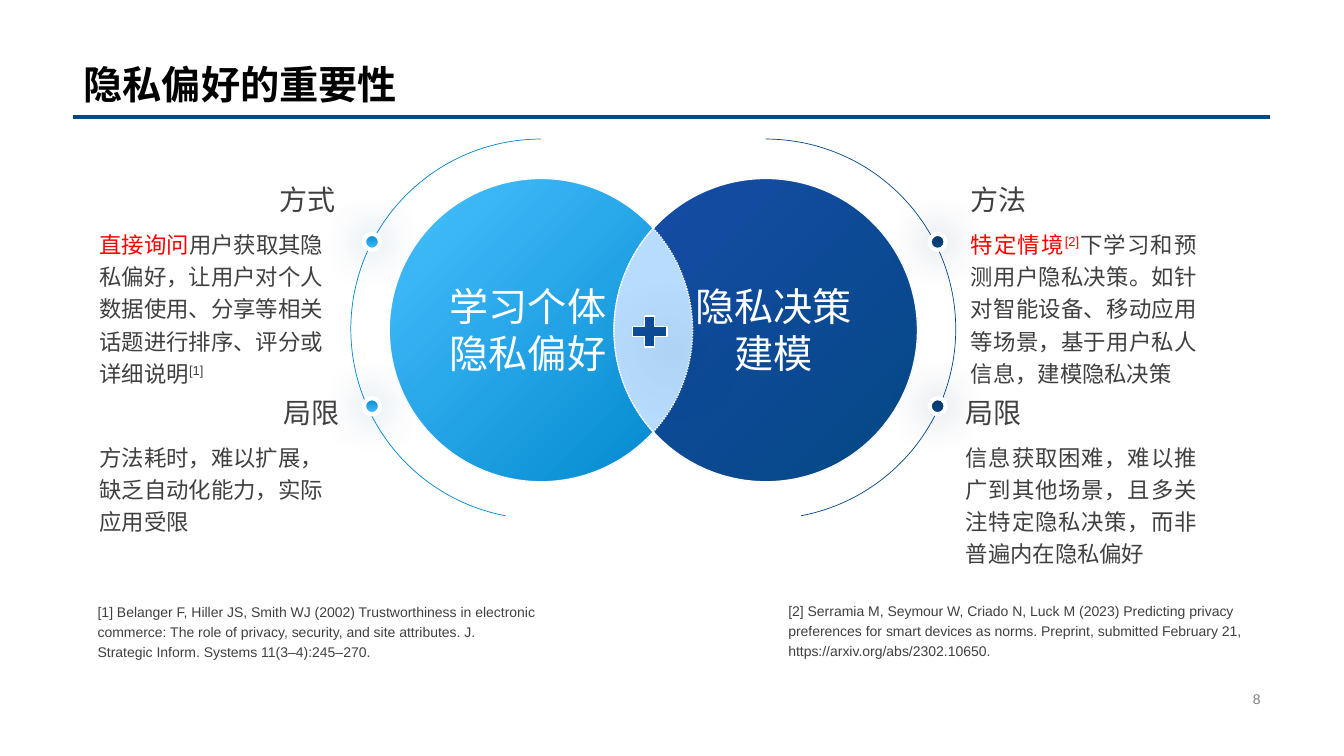
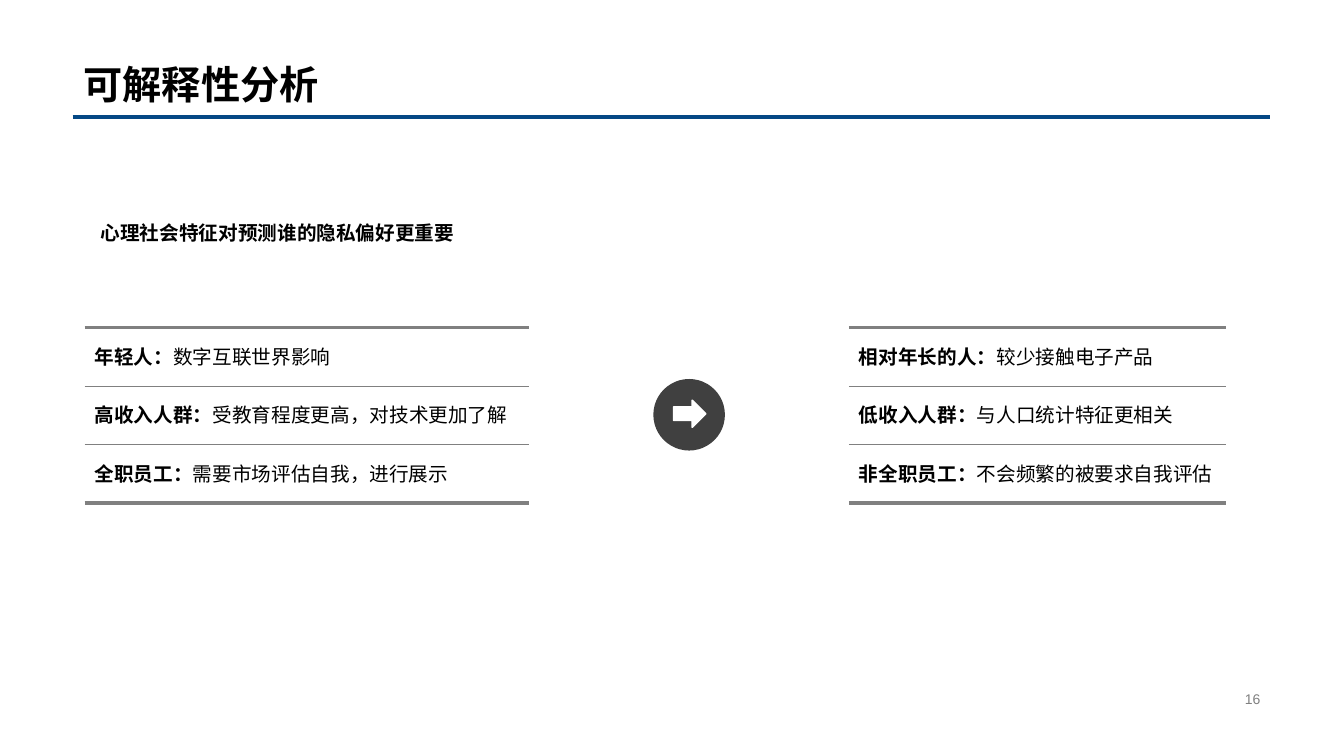
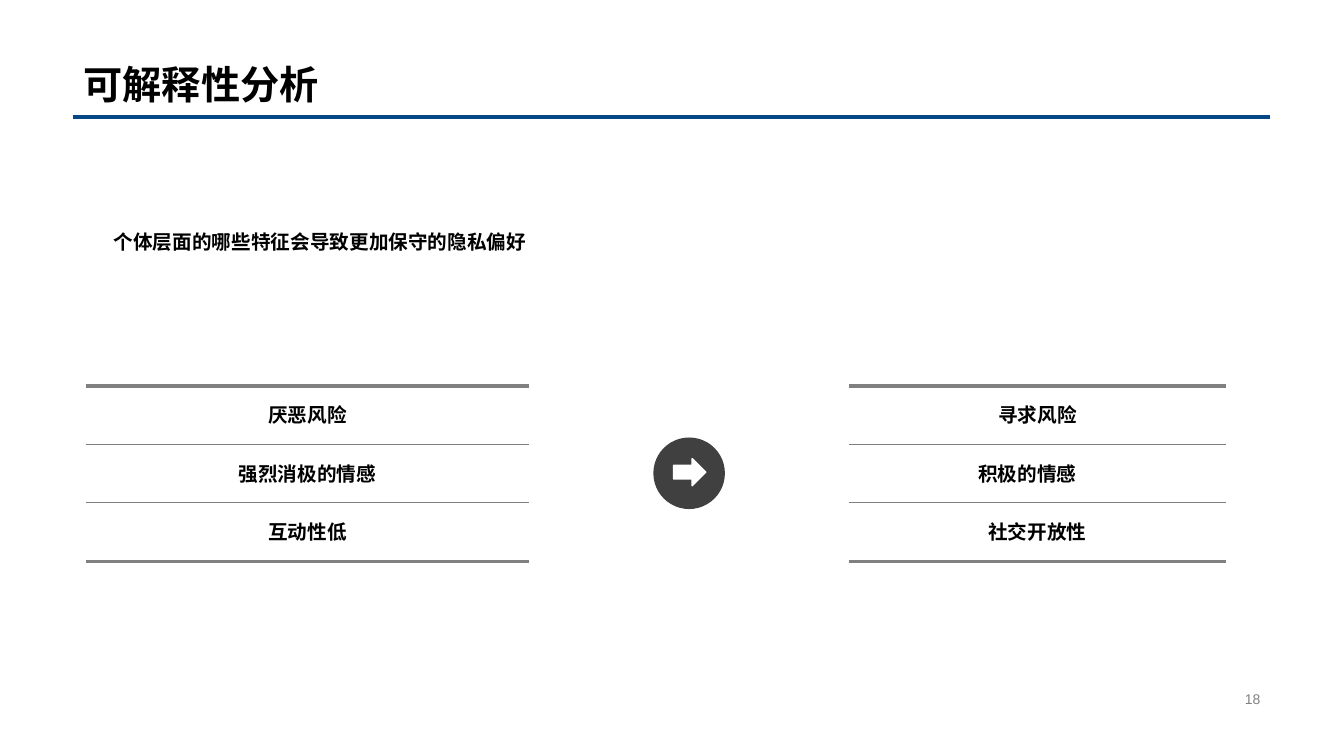
import math
from dataclasses import dataclass

from lxml import etree
from pptx import Presentation
from pptx import util as u
from pptx.dml.color import RGBColor
from pptx.enum import dml, shapes, text
from pptx.oxml.ns import qn

LATIN, CJK = "Arial", "Noto Sans CJK SC"
NAVY, SKY, RED, BODY, GREY = "044885", "0087CD", "FF0000", "404040", "808080"
WHITE, BLACK = "FFFFFF", "000000"
SKY_FILL, NAVY_FILL = ("48C1FF", SKY), ("164CA7", NAVY)
LEFT, CENTER, RIGHT, JUSTIFY = (
    text.PP_ALIGN.LEFT, text.PP_ALIGN.CENTER, text.PP_ALIGN.RIGHT, text.PP_ALIGN.JUSTIFY)
SHAPE = shapes.MSO_SHAPE
ROW_PITCH = 0.58


@dataclass
class Run:
    text: str
    color: str | None = None
    bold: bool = False
    raised: bool = False


@dataclass
class Shadow:
    color: str
    opacity: int
    blur: float
    distance: float = 0
    angle: int = 0


@dataclass
class Note:
    """A block of text beside the circles."""
    left: float
    top: float
    width: float
    height: float
    runs: list[Run]
    size: int = 16
    align: text.PP_ALIGN = LEFT
    spacing: float = 1.2


@dataclass
class Row:
    runs: list[Run]
    shift: float = 0


@dataclass
class RuledList:
    left: float
    width: float
    rows: list[Row]
    align: text.PP_ALIGN = LEFT


def rgb(value: str) -> RGBColor:
    return RGBColor.from_string(value)


def style(p, size: float, color: str, name: str = LATIN, bold: bool = False) -> None:
    f = p.font
    f.size, f.bold, f.name = u.Pt(size), bold, name
    f.color.rgb = rgb(color)
    etree.SubElement(f._element, qn("a:ea"), typeface=CJK)


def add_runs(p, runs: list[Run]) -> None:
    for item in runs:
        r = p.add_run()
        r.text = item.text
        if item.color:
            r.font.color.rgb = rgb(item.color)
        if item.bold:
            r.font.bold = True
        if item.raised:
            r.font._element.set("baseline", "30000")


def add_text(s, left: float, top: float, width: float, height: float,
             paragraphs: list[list[Run]], size: float, color: str = BODY,
             name: str = LATIN, bold: bool = False, align: text.PP_ALIGN = LEFT,
             spacing: float = 1.0):
    box = s.shapes.add_textbox(u.Inches(left), u.Inches(top), u.Inches(width), u.Inches(height))
    tf = box.text_frame
    tf.word_wrap = True
    for i, runs in enumerate(paragraphs):
        p = tf.paragraphs[0] if i == 0 else tf.add_paragraph()
        p.alignment, p.line_spacing = align, spacing
        style(p, size, color, name, bold)
        add_runs(p, runs)
    return tf


def add_line(s, x1: float, x2: float, y: float, color: str, width: float) -> None:
    c = s.shapes.add_connector(
        shapes.MSO_CONNECTOR.STRAIGHT, u.Inches(x1), u.Inches(y), u.Inches(x2), u.Inches(y))
    c.line.color.rgb, c.line.width = rgb(color), u.Pt(width)
    etree.SubElement(c._element.spPr, qn("a:effectLst"))


def paint(sp, fill: str | tuple[str, str] | None, line: str | None = None,
          width: float = 1, angle: int = 45, shadow: Shadow | None = None) -> None:
    """Fill with a colour, a pair of gradient colours (clockwise angle) or nothing."""
    sp.shadow.inherit = False
    if fill is None:
        sp.fill.background()
    elif isinstance(fill, str):
        sp.fill.solid()
        sp.fill.fore_color.rgb = rgb(fill)
    else:
        sp.fill.gradient()
        sp.fill.gradient_angle = (360 - angle) % 360
        for stop, color in zip(sp.fill.gradient_stops, fill):
            stop.color.rgb = rgb(color)
    if line:
        sp.line.color.rgb, sp.line.width = rgb(line), u.Pt(width)
    else:
        sp.line.fill.background()
    if shadow:
        effects = sp._element.spPr.find(qn("a:effectLst"))
        outer = etree.SubElement(
            effects, qn("a:outerShdw"), blurRad=str(u.Pt(shadow.blur)),
            dist=str(u.Pt(shadow.distance)), dir=str(shadow.angle * 60000),
            algn="ctr", rotWithShape="0")
        color = etree.SubElement(outer, qn("a:srgbClr"), val=shadow.color)
        etree.SubElement(color, qn("a:alpha"), val=str(shadow.opacity * 1000))


def add_preset(s, kind, left: float, top: float, width: float, height: float):
    return s.shapes.add_shape(
        kind, u.Inches(left), u.Inches(top), u.Inches(width), u.Inches(height))


def add_slide(prs, title: str, number: int):
    s = prs.slides.add_slide(prs.slide_layouts[5])
    add_line(s, 0.72, 12.6, 1.16, NAVY, 3)
    sp = s.shapes.title
    sp.left, sp.top, sp.width, sp.height = map(u.Inches, (0.73, 0, 11.87, 1.12))
    tf = sp.text_frame
    tf.vertical_anchor = text.MSO_ANCHOR.BOTTOM
    tf.auto_size = text.MSO_AUTO_SIZE.NONE
    p = tf.paragraphs[0]
    p.alignment, p.line_spacing = LEFT, 0.9
    style(p, 28, BLACK, bold=True)
    add_runs(p, [Run(title)])
    tf = add_text(s, 9.42, 6.82, 3.18, 0.23, [[Run(str(number))]], 10, GREY, align=RIGHT)
    tf.vertical_anchor = text.MSO_ANCHOR.MIDDLE
    return s


def add_lens(s, x1: float, x2: float, y: float, radius: float) -> None:
    """Draw the overlap of two equal circles centred at x1 and x2."""
    half = math.acos((x2 - x1) / 2 / radius)
    steps = 32
    points = []
    for x, start in ((x1, 0.0), (x2, math.pi)):
        for i in range(steps + 1):
            a = start - half + 2 * half * i / steps
            points.append((u.Inches(x + radius * math.cos(a)), u.Inches(y + radius * math.sin(a))))
    builder = s.shapes.build_freeform(*points[0])
    builder.add_line_segments(points[1:], close=True)
    sp = builder.convert_to_shape()
    paint(sp, "B7DCFD", WHITE)
    sp.line.dash_style = dml.MSO_LINE.ROUND_DOT


def add_orbit(s, left: float, color: str, flipped: bool) -> None:
    arc = add_preset(s, SHAPE.ARC, left, 1.38, 3.77, 3.77)
    arc.adjustments[0], arc.adjustments[1] = 162, 47.562
    paint(arc, None, color, 0.5)
    if flipped:
        arc._element.spPr.xfrm.set("flipH", "1")


def add_ruled_list(s, item: RuledList, top: float) -> None:
    for i, row in enumerate(item.rows):
        add_text(s, item.left + row.shift, top + 0.12 + i * ROW_PITCH, item.width, 0.34,
                 [row.runs], 14, BLACK, CJK, align=item.align).margin_right = (
                     u.Inches(0.1 if item.align == CENTER else 0))
    last = len(item.rows)
    for i in range(last + 1):
        add_line(s, item.left, item.left + item.width, top + i * ROW_PITCH, GREY,
                 2.25 if i in (0, last) else 0.75)


def build_importance(prs) -> None:
    s = add_slide(prs, "隐私偏好的重要性", 8)
    radius, top = 1.505, 1.77
    x1, x2, y = 5.365, 7.595, top + radius
    add_orbit(s, 5.71, NAVY, False)
    for x, fill in ((x1, SKY_FILL), (x2, NAVY_FILL)):
        paint(add_preset(s, SHAPE.OVAL, x - radius, top, 2 * radius, 2 * radius), fill, WHITE)
    add_lens(s, x1, x2, y, radius)
    for left, label in ((4.34, "学习个体隐私偏好"), (6.78, "隐私决策建模")):
        add_text(s, left, 2.75, 1.79, 1.04, [[Run(label)]], 28, WHITE, align=CENTER)
    paint(add_preset(s, SHAPE.MATH_PLUS, 6.21, 3.08, 0.47, 0.42), NAVY_FILL, WHITE,
          shadow=Shadow("022442", 43, 52, 20, 45))
    add_orbit(s, 3.48, SKY, True)
    for left, fill, glow in ((9.22, (NAVY, "033664"), "033664"), (3.61, SKY_FILL, "00659A")):
        for dot_top in (2.32, 3.95):
            paint(add_preset(s, SHAPE.OVAL, left, dot_top, 0.16, 0.16), fill, WHITE, 3, 270,
                  Shadow(glow, 50, 30))

    notes = [
        Note(9.48, 3.87, 1.58, 0.44, [Run("局限")], 20, LEFT, 1.0),
        Note(9.48, 4.3, 2.49, 1.36, [
            Run("信息获取困难，难以推广到其他场景，且多关注特定隐私决策，而非普遍内在隐私偏好"),
        ], align=JUSTIFY),
        Note(9.53, 1.76, 1.58, 0.44, [Run("方法")], 20, LEFT, 1.0),
        Note(9.53, 2.19, 2.44, 1.69, [
            Run("特定情境", RED), Run("[2]", RED, raised=True),
            Run("下学习和预测用户隐私决策。如针对智能设备、移动应用等场景，"
                "基于用户私人信息，建模隐私决策"),
        ], align=JUSTIFY),
        Note(1.85, 1.76, 1.58, 0.44, [Run("方式")], 20, RIGHT, 1.0),
        Note(0.89, 2.19, 2.55, 1.69, [
            Run("直接询问", RED),
            Run("用户获取其隐私偏好，让用户对个人数据使用、分享等相关话题进行排序、评分或详细说明"),
            Run("[1]", raised=True),
        ]),
        Note(1.89, 3.87, 1.58, 0.44, [Run("局限")], 20, RIGHT, 1.0),
        Note(0.89, 4.3, 2.58, 1.04, [
            Run("方法耗时，难以扩展，缺乏自动化能力，实际应用受限"),
        ]),
    ]
    for n in notes:
        add_text(s, n.left, n.top, n.width, n.height, [n.runs], n.size,
                 align=n.align, spacing=n.spacing)

    references = [
        (0.87, 5.9, [
            "[1] Belanger F, Hiller JS, Smith WJ (2002) Trustworthiness in electronic",
            "commerce: The role of privacy, security, and site attributes. J.",
            "Strategic Inform. Systems 11(3–4):245–270.",
        ]),
        (7.72, 5.89, [
            "[2] Serramia M, Seymour W, Criado N, Luck M (2023) Predicting privacy "
            "preferences for smart devices as norms. Preprint, submitted February 21, "
            "https://arxiv.org/abs/2302.10650.",
        ]),
    ]
    for left, ref_top, lines in references:
        add_text(s, left, ref_top, 4.74, 0.69, [[Run(line)] for line in lines], 10, spacing=1.2)


def build_comparison(prs, number: int, question: str, at: tuple[float, float], top: float,
                     lists: list[RuledList]) -> None:
    s = add_slide(prs, "可解释性分析", number)
    for item in lists:
        add_ruled_list(s, item, top)
    paint(add_preset(s, SHAPE.OVAL, 6.48, top + 0.51, 0.71, 0.71), BODY)
    paint(add_preset(s, SHAPE.RIGHT_ARROW, 6.68, top + 0.72, 0.32, 0.27), WHITE, WHITE)
    add_text(s, *at, 5, 0.34, [[Run(question)]], 14, BLACK, CJK, bold=True)


def group_row(group: str, reason: str) -> Row:
    return Row([Run(group, bold=True), Run(reason)])


def trait_row(trait: str, shift: float = 0) -> Row:
    return Row([Run(trait, bold=True)], shift)


def main() -> None:
    prs = Presentation()
    prs.slide_width, prs.slide_height = u.Inches(13.33), u.Inches(7.5)
    build_importance(prs)
    build_comparison(prs, 16, "心理社会特征对预测谁的隐私偏好更重要", (0.9, 2.14), 3.25, [
        RuledList(0.84, 4.41, [
            group_row("年轻人：", "数字互联世界影响"),
            group_row("高收入人群：", "受教育程度更高，对技术更加了解"),
            group_row("全职员工：", "需要市场评估自我，进行展示"),
        ]),
        RuledList(8.42, 3.74, [
            group_row("相对年长的人：", "较少接触电子产品"),
            group_row("低收入人群：", "与人口统计特征更相关"),
            group_row("非全职员工：", "不会频繁的被要求自我评估"),
        ]),
    ])
    build_comparison(prs, 18, "个体层面的哪些特征会导致更加保守的隐私偏好", (1.03, 2.23), 3.83, [
        RuledList(0.85, 4.4, [
            trait_row("厌恶风险"), trait_row("强烈消极的情感"), trait_row("互动性低"),
        ], CENTER),
        RuledList(8.42, 3.74, [
            trait_row("寻求风险"), trait_row("积极的情感", -0.1), trait_row("社交开放性"),
        ], CENTER),
    ])
    prs.save("out.pptx")


if __name__ == "__main__":
    main()
